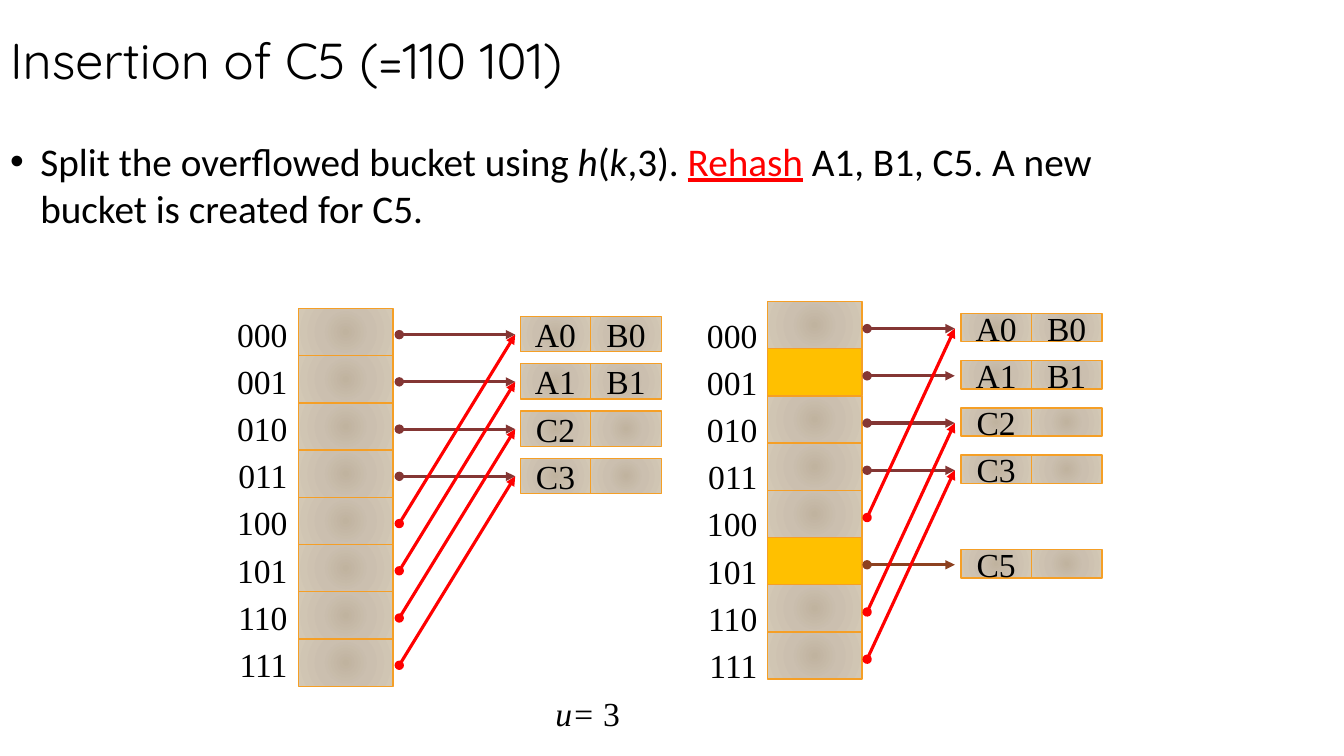
from dataclasses import dataclass

from lxml.etree import SubElement
from pptx import Presentation
from pptx.dml.color import RGBColor
from pptx.enum.shapes import MSO_CONNECTOR, MSO_SHAPE
from pptx.enum.text import MSO_ANCHOR, MSO_AUTO_SIZE, PP_ALIGN
from pptx.oxml import parse_xml
from pptx.oxml.ns import nsdecls, qn
from pptx.util import Inches, Pt

SERIF = "Times New Roman"
BLACK, RED, MAROON, BROWN = "000000", "FF0000", "843634", "8D4120"
ORANGE, YELLOW = "F59F26", "FFC000"
STONE = ((0, "C0B39F"), (45, "CBBFAF"), (100, "D3C8B5"))
PITCH = 3.28 / 7  # distance between directory rows
CELL_W, SLOT_W = 0.94, 0.7


@dataclass
class Bucket:
    row: int
    keys: tuple[str, str]


@dataclass
class Link:
    row: int
    target: int
    color: str


@dataclass
class Directory:
    cell_x: float
    cell_y: float
    label_x: float
    label_y: float
    bucket_x: float
    bucket_y: float
    bucket_h: float
    link_x: float
    link_end: float
    link_y: float
    buckets: list[Bucket]
    links: list[Link]
    marked: tuple[int, ...] = ()


def rgb(color: str) -> RGBColor:
    return RGBColor.from_string(color)


def style_run(r, font: str, size: float, color: str = BLACK) -> None:
    r.font.name, r.font.size = font, Pt(size)
    r.font.color.rgb = rgb(color)


def fill_stone(sp) -> None:
    """Give the shape a round gradient, which needs XML."""
    stops = "".join(
        f'<a:gs pos="{pos * 1000}"><a:srgbClr val="{color}"/></a:gs>'
        for pos, color in STONE
    )
    grad = parse_xml(
        f'<a:gradFill {nsdecls("a")} rotWithShape="1"><a:gsLst>{stops}</a:gsLst>'
        '<a:path path="circle"><a:fillToRect l="50000" t="50000" r="50000" '
        'b="50000"/></a:path></a:gradFill>'
    )
    sp.element.spPr.insert(2, grad)


def add_box(s, x: float, y: float, w: float, h: float,
            text: str = "", color: str = "") -> None:
    sp = s.shapes.add_shape(MSO_SHAPE.RECTANGLE, Inches(x), Inches(y),
                            Inches(w), Inches(h))
    if color:
        sp.fill.solid()
        sp.fill.fore_color.rgb = rgb(color)
    else:
        fill_stone(sp)
    sp.line.color.rgb = rgb(ORANGE)
    sp.line.width = Pt(1)
    sp.shadow.inherit = False
    if text:
        tf = sp.text_frame
        tf.text = text
        tf.vertical_anchor = MSO_ANCHOR.MIDDLE
        p = tf.paragraphs[0]
        p.alignment = PP_ALIGN.CENTER
        style_run(p.runs[0], SERIF, 24)


def add_label(s, x: float, y: float, w: float, text: str, align: PP_ALIGN):
    tf = s.shapes.add_textbox(Inches(x), Inches(y), Inches(w),
                              Inches(0.51)).text_frame
    tf.word_wrap = True
    tf.auto_size = MSO_AUTO_SIZE.SHAPE_TO_FIT_TEXT
    p = tf.paragraphs[0]
    p.text, p.alignment = text, align
    style_run(p.runs[0], SERIF, 24)
    return p


def add_link(s, x1: float, y1: float, x2: float, y2: float, color: str) -> None:
    cxn = s.shapes.add_connector(MSO_CONNECTOR.STRAIGHT, Inches(x1), Inches(y1),
                                 Inches(x2), Inches(y2))
    cxn.line.color.rgb = rgb(color)
    cxn.line.width = Pt(2.25)
    ln = cxn.line._get_or_add_ln()
    SubElement(ln, qn("a:headEnd"), type="oval")
    SubElement(ln, qn("a:tailEnd"), type="triangle")
    SubElement(cxn.element.spPr, qn("a:effectLst"))


def draw_directory(s, d: Directory) -> None:
    for row in range(8):
        dy = row * PITCH
        add_box(s, d.cell_x, d.cell_y + dy, CELL_W, PITCH,
                color=YELLOW if row in d.marked else "")
        add_label(s, d.label_x, d.label_y + dy, 1.17, f"{row:03b}", PP_ALIGN.RIGHT)
    for bucket in d.buckets:
        for slot, key in enumerate(bucket.keys):
            add_box(s, d.bucket_x + slot * SLOT_W, d.bucket_y + bucket.row * PITCH,
                    SLOT_W, d.bucket_h, key)
    for link in d.links:
        add_link(s, d.link_x, d.link_y + link.row * PITCH,
                 d.link_end, d.link_y + link.target * PITCH, link.color)


def place(sp, x: float, y: float, w: float, h: float):
    sp.left, sp.top, sp.width, sp.height = (Inches(v) for v in (x, y, w, h))
    tf = sp.text_frame
    tf.auto_size = MSO_AUTO_SIZE.NONE
    return tf


def add_title(s) -> None:
    tf = place(s.shapes.title, 0, 0.3, 9, 0.69)
    tf.text = "Insertion of C5 (=110 101)"
    tf.vertical_anchor = MSO_ANCHOR.BOTTOM
    tf.margin_bottom = Inches(0.1)
    p = tf.paragraphs[0]
    p.alignment, p.line_spacing = PP_ALIGN.LEFT, 0.85
    style_run(p.runs[0], "Quicksand", 36)


def add_body(s) -> None:
    p = place(s.placeholders[1], 0, 1.31, 11.14, 0.88).paragraphs[0]
    p.space_before = Pt(0)
    pPr = p._p.get_or_add_pPr()
    pPr.set("marL", str(Inches(0.3)))
    pPr.set("indent", str(Inches(-0.3)))
    for text in ("Split the overflowed bucket using ", "h", "(", "k", ",3). ",
                 "Rehash", " A1, B1, C5. A new bucket is created for C5."):
        r = p.add_run()
        r.text = text
        is_rehash = text == "Rehash"
        style_run(r, "Calibri", 28, RED if is_rehash else BLACK)
        r.font.italic = text in ("h", "k")
        r.font.underline = is_rehash


def main() -> None:
    prs = Presentation()
    prs.slide_width, prs.slide_height = Inches(13.33), Inches(7.5)
    s = prs.slides.add_slide(prs.slide_layouts[1])
    add_title(s)
    add_body(s)

    # Directories before and after the split
    buckets = [Bucket(row, keys) for row, keys in enumerate(
        (("A0", "B0"), ("A1", "B1"), ("C2", ""), ("C3", "")))]
    own = [Link(row, row, MAROON) for row in range(4)]
    shared = [Link(row, row - 4, RED) for row in range(4, 8)]
    split = [Link(5, 5, BROWN) if k.row == 5 else k for k in shared]
    draw_directory(s, Directory(
        cell_x=2.96, cell_y=3.06, label_x=1.78, label_y=3.06,
        bucket_x=5.16, bucket_y=3.14, bucket_h=0.35,
        link_x=3.96, link_end=5.11, link_y=3.32,
        buckets=buckets, links=own + shared))
    draw_directory(s, Directory(
        cell_x=7.61, cell_y=2.99, label_x=6.44, label_y=3.07,
        bucket_x=9.53, bucket_y=3.11, bucket_h=0.28,
        link_x=8.6, link_end=9.47, link_y=3.26,
        buckets=buckets + [Bucket(5, ("C5", ""))], links=own + split,
        marked=(1, 5)))

    # Depth caption
    p = add_label(s, 5.41, 6.82, 1.73, "u=", PP_ALIGN.LEFT)
    p.runs[0].font.italic = True
    r = p.add_run()
    r.text = " 3"
    style_run(r, SERIF, 24)

    prs.save("out.pptx")


if __name__ == "__main__":
    main()
